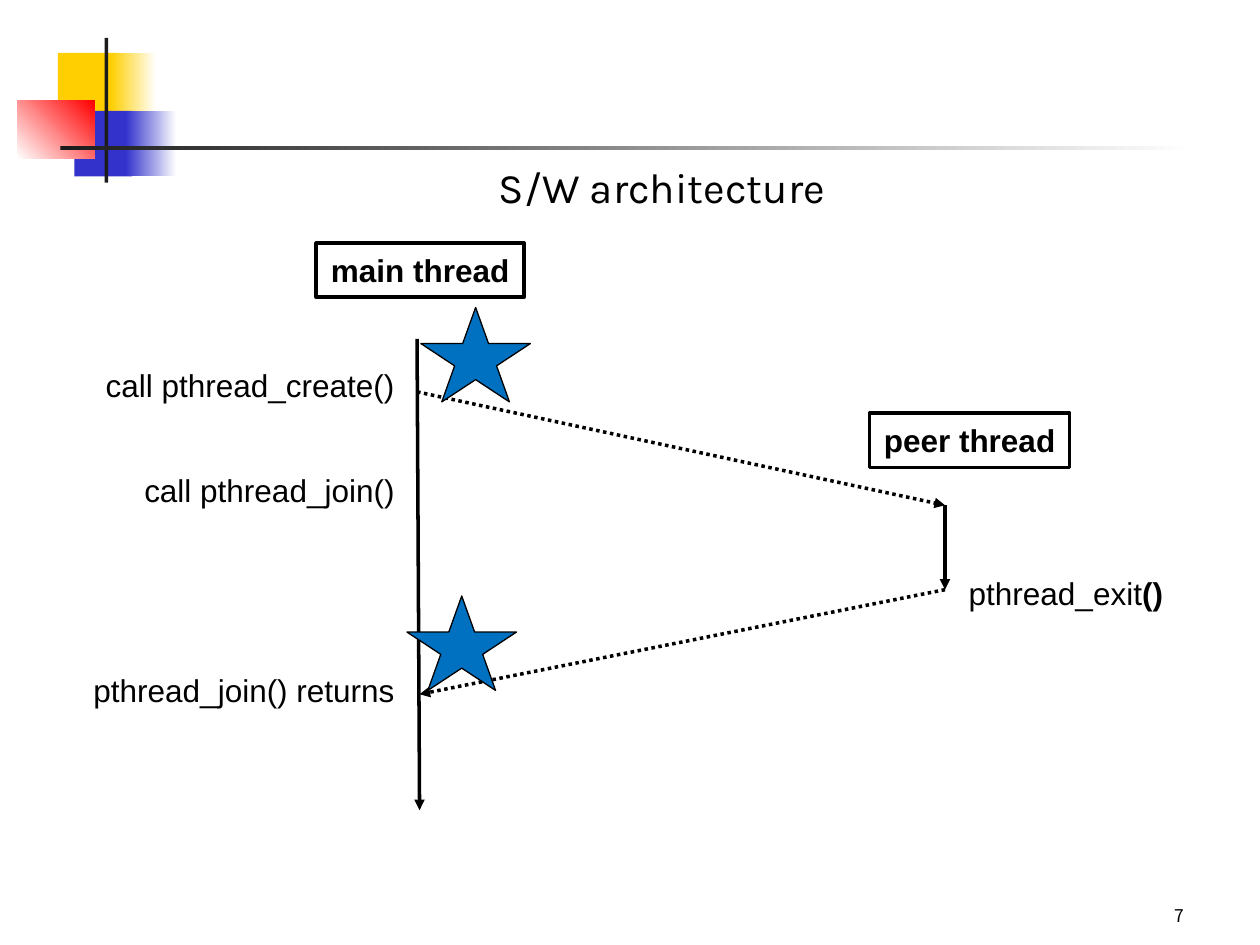
from dataclasses import dataclass

from lxml import etree
from pptx import Presentation
from pptx import util as u
from pptx.dml.color import RGBColor
from pptx.enum import dml, shapes, text
from pptx.oxml.ns import qn

PX = 9144  # 100 px to the inch
BLACK, WHITE, DARK = "000000", "FFFFFF", "1C1C1C"
YELLOW, BLUE, RED, STAR_BLUE = "FFCF01", "3333CC", "FF0000", "0070C0"
LEFT, CENTER, RIGHT = text.PP_ALIGN.LEFT, text.PP_ALIGN.CENTER, text.PP_ALIGN.RIGHT
TOP, MIDDLE, BOTTOM = (text.MSO_ANCHOR.TOP, text.MSO_ANCHOR.MIDDLE,
                       text.MSO_ANCHOR.BOTTOM)


@dataclass
class Box:
    x: int
    y: int
    w: int
    h: int

    def emu(self) -> list[int]:
        return [v * PX for v in (self.x, self.y, self.w, self.h)]


@dataclass
class Band:
    box: Box
    colors: tuple[str, ...]  # one for a solid fill, two for a gradient
    angle: int = 0


@dataclass
class Label:
    box: Box
    words: str
    align: int = RIGHT
    anchor: int = TOP
    size: int = 18
    font: str = "Arial"
    wrap: bool = False
    bold: bool = False
    bold_end: str = ""


@dataclass
class Arrow:
    start: tuple[int, int]
    end: tuple[int, int]
    dotted: bool = False


BANDS = [
    Band(Box(46, 42, 48, 52), (YELLOW,)),
    Band(Box(88, 42, 36, 52), (YELLOW, WHITE)),
    Band(Box(59, 88, 46, 52), (BLUE,)),
    Band(Box(100, 88, 40, 52), (BLUE, WHITE)),
    Band(Box(14, 80, 61, 46), (WHITE, RED), 45),
    Band(Box(83, 30, 3, 115), (DARK,)),
    Band(Box(48, 116, 900, 3), (DARK, WHITE)),
]
TITLE = Label(Box(386, 123, 311, 50), "S/W architecture", LEFT, size=24, font="Karla")
THREADS = [
    Label(Box(251, 193, 165, 43), "main thread", CENTER, MIDDLE, bold=True),
    Label(Box(690, 328, 159, 43), "peer thread", CENTER, MIDDLE, bold=True),
]
LABELS = [
    Label(Box(742, 706, 208, 34), "7", RIGHT, BOTTOM, 10, "Noto Sans CJK KR", True),
    Label(Box(74, 286, 249, 40), "call pthread_create()"),
    Label(Box(104, 369, 219, 40), "call pthread_join()"),
    Label(Box(48, 528, 275, 40), "pthread_join() returns", wrap=True),
    Label(Box(759, 451, 174, 40), "pthread_exit", LEFT, MIDDLE, bold_end="()"),
]
PEER_START, PEER_END = (750, 401), (750, 468)
ARROWS = [
    Arrow((331, 269), (333, 643)),
    Arrow(PEER_START, PEER_END),
    Arrow((331, 311), PEER_START, dotted=True),
    Arrow(PEER_END, (333, 551), dotted=True),
]
STARS = [Box(334, 244, 87, 75), Box(323, 473, 87, 75)]


def rgb(color: str) -> RGBColor:
    return RGBColor.from_string(color)


def add_shape(s, kind: int, box: Box, fill: str = "", line: float = 0):
    sp = s.shapes.add_shape(kind, *box.emu())
    sp.shadow.inherit = False
    if fill:
        sp.fill.solid()
        sp.fill.fore_color.rgb = rgb(fill)
    else:
        sp.fill.background()
    if line:
        sp.line.color.rgb = rgb(BLACK)
        sp.line.width = u.Pt(line)
    else:
        sp.line.fill.background()
    return sp


def add_band(s, band: Band) -> None:
    sp = add_shape(s, shapes.MSO_SHAPE.RECTANGLE, band.box, band.colors[0])
    if len(band.colors) > 1:
        sp.fill.gradient()
        sp.fill.gradient_angle = band.angle
        for stop, color in zip(sp.fill.gradient_stops, band.colors):
            stop.color.rgb = rgb(color)


def write(sp, label: Label) -> None:
    tf = sp.text_frame
    tf.word_wrap = label.wrap
    tf.vertical_anchor = label.anchor
    fixed = label.anchor == BOTTOM
    tf.auto_size = (text.MSO_AUTO_SIZE.NONE if fixed
                    else text.MSO_AUTO_SIZE.SHAPE_TO_FIT_TEXT)
    p = tf.paragraphs[0]
    p.alignment = label.align
    p.font.size = u.Pt(label.size)
    p.font.name = label.font
    p.font.bold = label.bold
    p.font.color.rgb = rgb(BLACK)
    p.add_run().text = label.words
    if label.bold_end:
        r = p.add_run()
        r.text = label.bold_end
        r.font.bold = True


def add_arrow(s, arrow: Arrow) -> None:
    ends = [v * PX for v in arrow.start + arrow.end]
    cx = s.shapes.add_connector(shapes.MSO_CONNECTOR.STRAIGHT, *ends)
    cx.line.color.rgb = rgb(BLACK)
    cx.line.width = u.Pt(2)
    if arrow.dotted:
        cx.line.dash_style = dml.MSO_LINE.ROUND_DOT
    sp_pr = cx.element.spPr
    etree.SubElement(sp_pr.find(qn("a:ln")), qn("a:tailEnd"), type="triangle")
    etree.SubElement(sp_pr, qn("a:effectLst"))


def main() -> None:
    prs = Presentation()
    prs.slide_width, prs.slide_height = 1000 * PX, 750 * PX
    s = prs.slides.add_slide(prs.slide_layouts[5])

    # Corner decoration
    for band in BANDS:
        add_band(s, band)

    # Title
    title = s.shapes.title
    title.left, title.top, title.width, title.height = TITLE.box.emu()
    write(title, TITLE)

    # Thread names, timelines and calls
    for thread in THREADS:
        write(add_shape(s, shapes.MSO_SHAPE.RECTANGLE, thread.box, line=2), thread)
    for arrow in ARROWS:
        add_arrow(s, arrow)
    for label in LABELS:
        write(s.shapes.add_textbox(*label.box.emu()), label)

    # Stars marking the create and join points
    for box in STARS:
        add_shape(s, shapes.MSO_SHAPE.STAR_5_POINT, box, STAR_BLUE, 0.75)

    prs.save("out.pptx")


if __name__ == "__main__":
    main()
